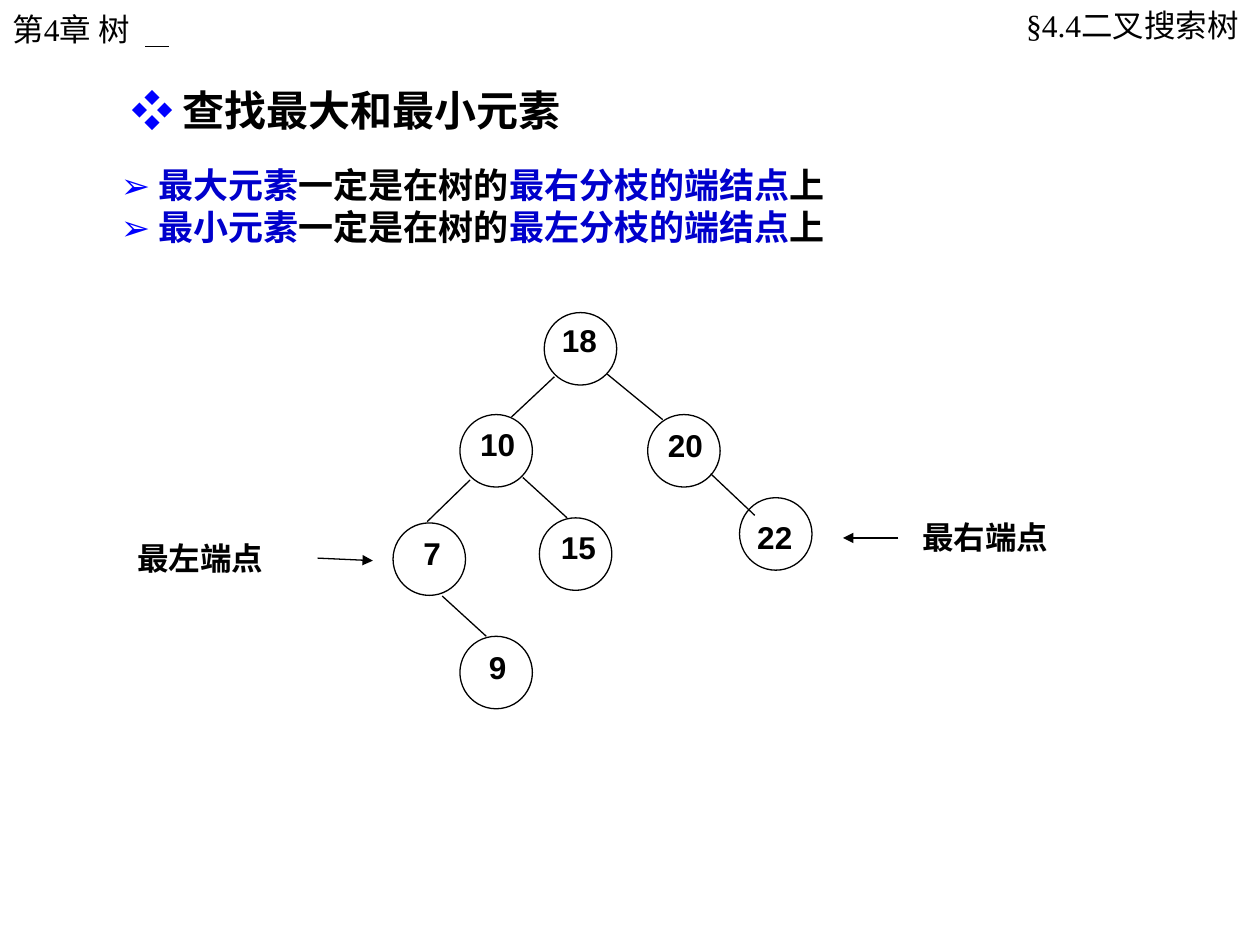
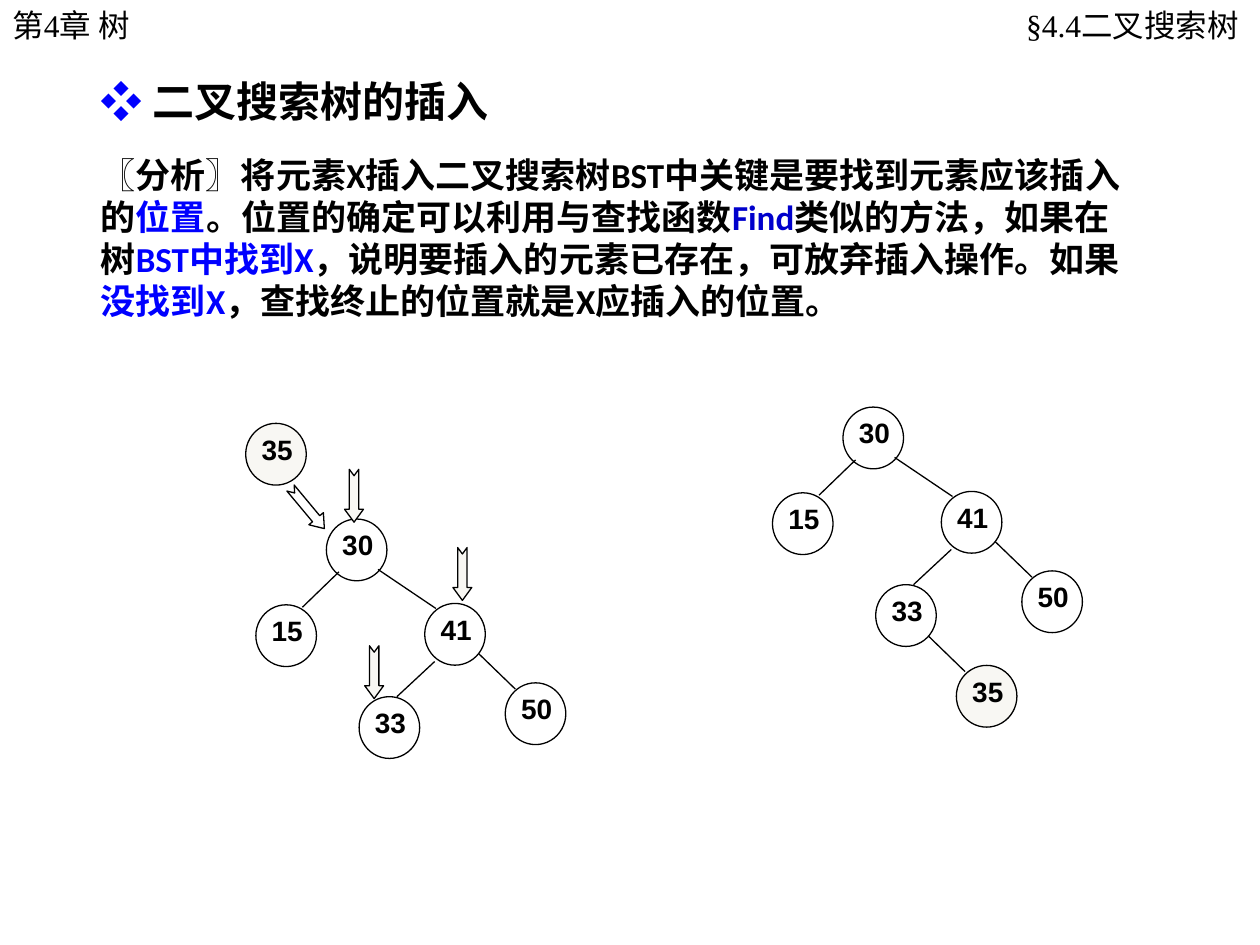
from typing import NamedTuple

from lxml.etree import SubElement
from pptx import Presentation
from pptx.dml.color import RGBColor
from pptx.enum.shapes import MSO_CONNECTOR as Conn, MSO_SHAPE as Shape
from pptx.enum.text import MSO_ANCHOR as Anchor, MSO_AUTO_SIZE as AutoSize, PP_ALIGN as Align
from pptx.oxml.ns import qn
from pptx.util import Pt

COLORS = {
    "black": "000000",
    "white": "FFFFFF",
    "blue": "0000FF",
    "navy": "0000CC",
    "ivory": "F8F7F3",
}
SANS, SERIF, LABEL = "Calibri", "Times New Roman", "Arial"


class Box(NamedTuple):
    x: float
    y: float
    w: float
    h: float


class Span(NamedTuple):
    text: str
    color: str = "black"


class Node(NamedTuple):
    key: str
    x: float
    y: float
    dx: float = 8.6
    dy: float = 5
    fill: str = "white"


class Edge(NamedTuple):
    x1: float
    y1: float
    x2: float
    y2: float


class NodeStyle(NamedTuple):
    w: float
    h: float
    label_w: float
    label_h: float
    size: float


class Pointer(NamedTuple):
    x: float
    y: float
    angle: float = 90
    fill: str = "ivory"


BIG = NodeStyle(41.4, 41.4, 23, 24.5, 18)
SMALL = NodeStyle(34.6, 35.3, 18.7, 20.9, 16)

SEARCH_NODES = [
    Node("18", 311, 178.6),
    Node("10", 262.8, 236.9, 10, 5.8),
    Node("15", 308.2, 295.9, 10.8, 5.8),
    Node("20", 370.1, 236.9, 10, 6.5),
    Node("7", 224.6, 298.8, 10.8, 6.5),
    Node("22", 422.6, 284.4, 8.6, 11.5),
    Node("9", 262.8, 363.6, 10, 6.5),
]
SEARCH_EDGES = [
    Edge(316.8, 215.3, 292.3, 238.3),
    Edge(268.6, 274.3, 244.1, 298.1),
    Edge(298.8, 272.9, 324, 295.9),
    Edge(347, 213.8, 378.7, 239.8),
    Edge(406.1, 270.7, 431.3, 294.5),
    Edge(252.7, 340.6, 277.9, 363.6),
]

INSERT_NODES = [
    Node("30", 0, 0),
    Node("15", -40.3, 49),
    Node("41", 56.2, 48.2),
    Node("33", 18.7, 101.5),
    Node("50", 102.2, 93.6),
]
INSERT_EDGES = [
    Edge(29.5, 28.8, 62.6, 51.1),
    Edge(61.9, 81.4, 40.3, 101.5),
    Edge(87.1, 77, 108, 97.2),
    Edge(7.2, 30.2, -13.7, 50.4),
]
NEW_NODE = Node("35", -46.1, -54.7, fill="ivory")
INSERTED_NODE = Node("35", 64.8, 147.6, fill="ivory")
INSERTED_EDGE = Edge(49, 131, 69.8, 151.2)
POINTERS = [
    Pointer(160.6, 285.1, 50.2, "white"),
    Pointer(187.2, 277.9),
    Pointer(249.1, 322.6),
    Pointer(198.7, 378.7),
]


def rgb(name: str) -> RGBColor:
    return RGBColor.from_string(COLORS[name])


def place(sp, box: Box) -> None:
    sp.left, sp.top, sp.width, sp.height = map(Pt, box)


def add_run(p, span: Span, size: float, font: str, bold: bool = True) -> None:
    r = p.add_run()
    r.text = span.text
    r.font.size, r.font.name, r.font.bold = Pt(size), font, bold
    r.font.color.rgb = rgb(span.color)


def fill_placeholder(sp, box: Box, lines: list[list[Span]], size: float, wrap: bool) -> None:
    place(sp, box)
    tf = sp.text_frame
    tf.word_wrap, tf.vertical_anchor = wrap, Anchor.TOP
    tf.auto_size = AutoSize.SHAPE_TO_FIT_TEXT
    for i, spans in enumerate(lines):
        p = tf.add_paragraph() if i else tf.paragraphs[0]
        p.alignment, p.space_before = Align.LEFT, Pt(0)
        for span in spans:
            add_run(p, span, size, SANS)
        props = p._p.get_or_add_pPr()
        props.set("marL", "0")
        props.set("indent", "0")
        SubElement(props, qn("a:buNone"))


def add_header(s, text: str, box: Box, align: Align) -> None:
    tf = s.shapes.add_textbox(*map(Pt, box)).text_frame
    tf.word_wrap = True
    if align == Align.RIGHT:
        tf.margin_left, tf.margin_right = Pt(8.6), Pt(11.5)
    tf.paragraphs[0].alignment = align
    add_run(tf.paragraphs[0], Span(text), 18, SERIF, False)


def add_shape(s, kind: Shape, box: Box, fill: str, outlined: bool = True):
    sp = s.shapes.add_shape(kind, *map(Pt, box))
    sp.shadow.inherit = False
    sp.fill.solid()
    sp.fill.fore_color.rgb = rgb(fill)
    if outlined:
        sp.line.color.rgb, sp.line.width = rgb("black"), Pt(0.75)
    else:
        sp.line.fill.background()
    return sp


def add_label(s, text: str, box: Box, size: float, font: str, fill: str,
              align: Align, anchor: Anchor):
    sp = add_shape(s, Shape.RECTANGLE, box, fill, outlined=False)
    tf = sp.text_frame
    tf.margin_left = tf.margin_top = tf.margin_right = tf.margin_bottom = 0
    tf.vertical_anchor = anchor
    tf.paragraphs[0].alignment = align
    add_run(tf.paragraphs[0], Span(text), size, font)
    return sp


def add_line(s, edge: Edge, arrow: bool = False):
    line = s.shapes.add_connector(Conn.STRAIGHT, *map(Pt, edge))
    line.line.color.rgb, line.line.width = rgb("black"), Pt(0.75)
    if arrow:
        SubElement(line.line._get_or_add_ln(), qn("a:tailEnd"), type="triangle")
    SubElement(line._element.spPr, qn("a:effectLst"))
    return line


def add_tree(s, nodes: list[Node], edges: list[Edge], style: NodeStyle,
             x: float = 0, y: float = 0) -> None:
    for n in nodes:
        left, top = x + n.x, y + n.y
        add_shape(s, Shape.OVAL, Box(left, top, style.w, style.h), n.fill)
        label = Box(left + n.dx, top + n.dy, style.label_w, style.label_h)
        add_label(s, n.key, label, style.size, LABEL, n.fill, Align.CENTER, Anchor.TOP)
    for e in edges:
        add_line(s, Edge(x + e.x1, y + e.y1, x + e.x2, y + e.y2))


def add_slide(prs, title: str, title_box: Box, body: list[list[Span]], body_box: Box,
              wrap_body: bool, chapter_top: float = 0):
    s = prs.slides.add_slide(prs.slide_layouts[1])
    heading = [Span("❖ ", "blue"), Span(title)]
    fill_placeholder(s.shapes.title, title_box, [heading], 24, False)
    fill_placeholder(s.placeholders[1], body_box, body, 20, wrap_body)
    add_header(s, "第4章 树", Box(0, chapter_top, 150.5, 28.8), Align.LEFT)
    add_header(s, "§4.4二叉搜索树", Box(445, 0, 274.3, 28.8), Align.RIGHT)
    return s


def extreme_line(element: str, branch: str) -> list[Span]:
    return [Span("➢ ", "blue"), Span(element, "navy"), Span("一定是在树的"),
            Span(f"{branch}的端结点", "navy"), Span("上")]


def build_search_slide(prs) -> None:
    body = [extreme_line("最大元素", "最右分枝"), extreme_line("最小元素", "最左分枝")]
    s = add_slide(prs, "查找最大和最小元素", Box(67.7, 44.6, 261.4, 36), body,
                  Box(61.9, 90, 419, 55.4), False, chapter_top=2)
    add_line(s, Edge(82.9, 26.4, 96.6, 26.4))
    add_tree(s, SEARCH_NODES, SEARCH_EDGES, BIG)
    leftmost, _ = [
        add_label(s, text, Box(x, y, 103, 47.5), 18, SANS, "white", Align.LEFT, Anchor.MIDDLE)
        for text, x, y in [("最左端点", 78.5, 295.2), ("最右端点", 527, 283)]
    ]
    add_line(s, Edge(181.5, 319, 213.1, 320.4), arrow=True).begin_connect(leftmost, 3)
    add_line(s, Edge(513.4, 307.4, 481.7, 307.4), arrow=True)


def build_insert_slide(prs) -> None:
    analysis = [
        Span("〖分析〗将元素X插入二叉搜索树BST中关键是要找到元素应该插入的"),
        Span("位置", "blue"),
        Span("。位置的确定可以利用与查找函数"),
        Span("Find", "navy"),
        Span("类似的方法，如果在树"),
        Span("BST中找到X", "blue"),
        Span("，说明要插入的元素已存在，可放弃插入操作。如果"),
        Span("没找到X", "blue"),
        Span("，查找终止的位置就是X应插入的位置。"),
    ]
    s = add_slide(prs, "二叉搜索树的插入", Box(50.4, 39.6, 236.9, 36), [analysis],
                  Box(50.4, 84.2, 599, 104.4), True)
    add_tree(s, INSERT_NODES + [INSERTED_NODE], INSERT_EDGES + [INSERTED_EDGE],
             SMALL, 481.7, 232.6)
    add_tree(s, INSERT_NODES + [NEW_NODE], INSERT_EDGES, SMALL, 186.5, 296.6)
    for pt in POINTERS:
        sp = add_shape(s, Shape.NOTCHED_RIGHT_ARROW, Box(pt.x, pt.y, 30.2, 10.8), pt.fill)
        sp.adjustments[0], sp.adjustments[1] = 0.5, 0.68
        sp.rotation = pt.angle


def main() -> None:
    prs = Presentation()
    prs.slide_width, prs.slide_height = Pt(720), Pt(540)
    build_search_slide(prs)
    build_insert_slide(prs)
    prs.save("out.pptx")


if __name__ == "__main__":
    main()
